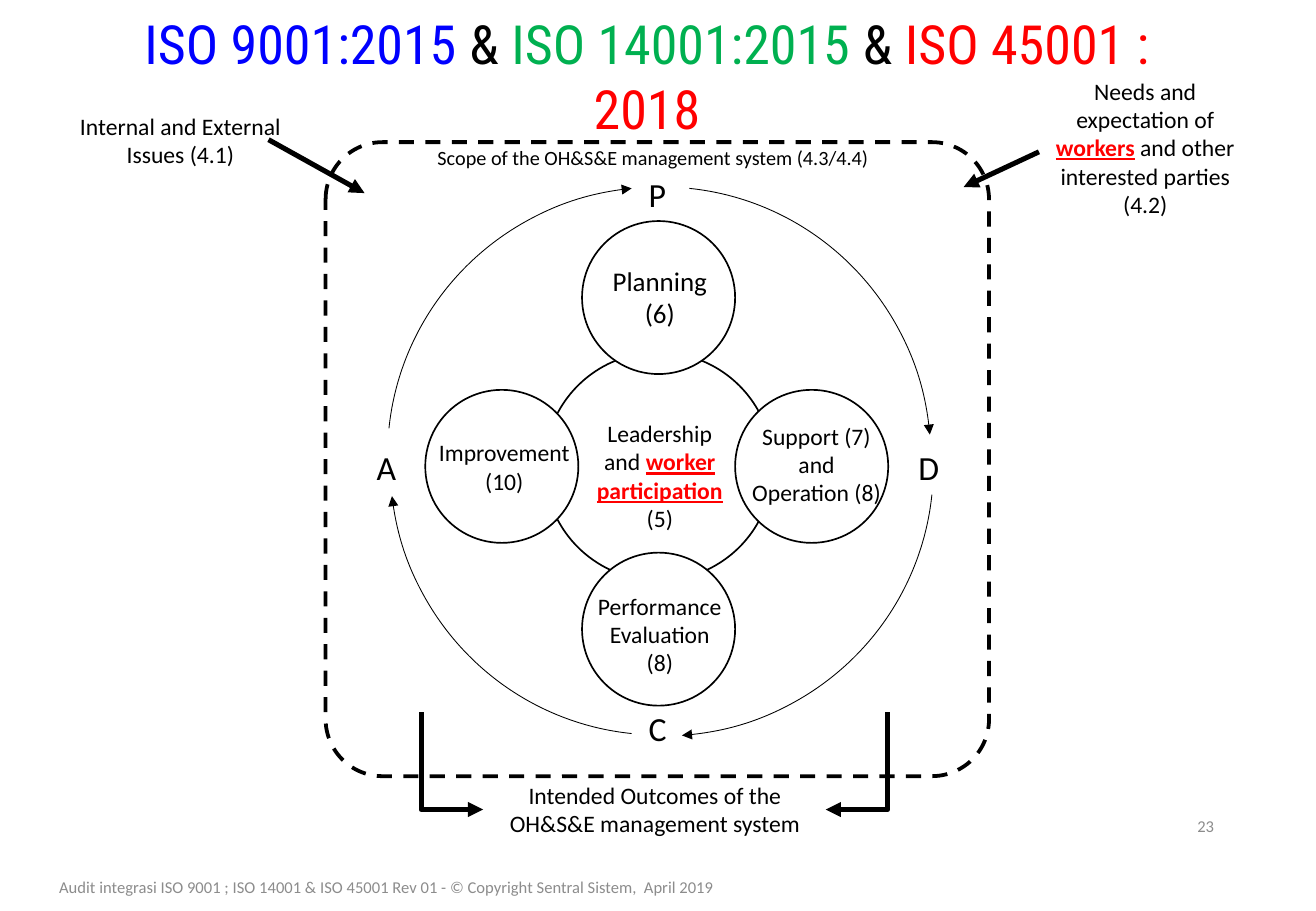
from dataclasses import dataclass

from pptx import Presentation
from pptx.dml.color import RGBColor
from pptx.enum.dml import MSO_LINE
from pptx.enum.shapes import MSO_CONNECTOR as Link, MSO_SHAPE as Kind
from pptx.enum.text import MSO_ANCHOR as Anchor, PP_ALIGN as Align
from pptx.oxml.ns import qn
from pptx.oxml.xmlchemy import OxmlElement as Tag
from pptx.util import Inches, Pt

# Square grid: 108.3 columns by 75 rows
CELL = Inches(0.1)
COLS, ROWS = 108.3, 75
HEX = {"ink": "000000", "paper": "FFFFFF", "blue": "0000FF",
       "green": "00B050", "red": "FF0000", "gray": "8C8C8C"}


@dataclass(frozen=True)
class Box:
    col: float
    row: float
    wide: float
    high: float


@dataclass(frozen=True)
class Run:
    text: str
    hue: str = "ink"
    strong: bool = False


@dataclass(frozen=True)
class Label:
    box: Box
    paras: list[list[Run]]
    size: float = 14
    align: Align = Align.CENTER
    anchor: Anchor = Anchor.TOP
    font: str = "Calibri"


@dataclass(frozen=True)
class Arc:
    col: float
    row: float
    turn: int
    stop: float


@dataclass(frozen=True)
class Elbow:
    box: Box
    turn: int
    flip: bool


def grid(*cells: float) -> list[int]:
    return [round(cell * CELL) for cell in cells]


def place(box: Box) -> list[int]:
    return grid(box.col, box.row, box.wide, box.high)


def color(hue: str) -> RGBColor:
    return RGBColor.from_string(HEX[hue])


def ink(shape, width: float, arrow: bool = False) -> None:
    shape.line.color.rgb = color("ink")
    shape.line.width = Pt(width)
    if arrow:
        tail = Tag("a:tailEnd")
        tail.set("type", "triangle")
        shape.line._get_or_add_ln().append(tail)


def outline(slide, kind: Kind, box: Box, width: float, fill: str = ""):
    shape = slide.shapes.add_shape(kind, *place(box))
    shape.shadow.inherit = False
    if fill:
        shape.fill.solid()
        shape.fill.fore_color.rgb = color(fill)
    else:
        shape.fill.background()
    ink(shape, width)
    return shape


def write(slide, label: Label) -> None:
    frame = slide.shapes.add_textbox(*place(label.box)).text_frame
    frame.word_wrap = True
    frame.vertical_anchor = label.anchor
    for i, runs in enumerate(label.paras):
        para = frame.add_paragraph() if i else frame.paragraphs[0]
        para.alignment = label.align
        for part in runs:
            run = para.add_run()
            run.text = part.text
            font = run.font
            font.name, font.size = label.font, Pt(label.size)
            font.color.rgb = color(part.hue)
            font.bold = font.underline = part.strong


def sweep(slide, arc: Arc) -> None:
    shape = outline(slide, Kind.ARC, Box(arc.col, arc.row, 44.2, 44.6), 0.5)
    shape.adjustments[0] = 165.44
    shape.adjustments[1] = arc.stop
    shape.rotation = arc.turn
    tail = Tag("a:tailEnd")
    tail.set("type", "triangle")
    shape.line._get_or_add_ln().append(tail)


def link(slide, kind: Link, *ends: float):
    line = slide.shapes.add_connector(kind, *grid(*ends))
    line._element.spPr.append(Tag("a:effectLst"))
    ink(line, 3, arrow=True)
    return line


def bend(slide, elbow: Elbow) -> None:
    box = elbow.box
    left, right = box.col, box.col + box.wide
    if elbow.flip:
        left, right = right, left
    line = link(slide, Link.ELBOW, left, box.row, right, box.row + box.high)
    props = line._element.spPr
    props.find(qn("a:prstGeom")).set("prst", "bentConnector2")
    props.find(qn("a:xfrm")).set("rot", str(elbow.turn * 60000))


def plain(box: Box, text: str, size: float = 14, **more) -> Label:
    return Label(box, [[Run(text)]], size, **more)


HEAD = [
    Label(Box(6.3, 0.4, 93.9, 6.4), [[
        Run("ISO 9001:2015 ", "blue"), Run("& "),
        Run("ISO 14001:2015 ", "green"), Run("& "),
        Run("ISO 45001 : 2018", "red")]], 32, font="Roboto Condensed"),
]
AROUND = [
    plain(Box(27.3, 11.5, 52.9, 3),
          "Scope of the OH&S&E management system (4.3/4.4)", 12),
    plain(Box(5.3, 8.7, 19.1, 5.7), "Internal and External Issues (4.1)"),
    Label(Box(84.7, 5.8, 19.1, 12.8), [[
        Run("Needs and expectation of "), Run("workers", "red", True),
        Run(" and other interested parties (4.2)")]]),
    plain(Box(39.8, 63.8, 28.2, 5.7),
          "Intended Outcomes of the OH&S&E management system"),
]
SPOTS = [(47.9, 18.2), (47.9, 45.5), (60.5, 32.1), (35, 32.1)]
STEPS = [("P", 52.4, 13.8), ("D", 74.6, 36.3),
         ("A", 30, 36.3), ("C", 52.4, 57.8)]
ARCS = [Arc(32.1, 15.2, 270, 212.56), Arc(32.4, 15.4, 0, 213.02),
        Arc(32.4, 16.2, 90, 213.48), Arc(32.1, 15.9, 180, 211.88)]
INNER = [
    Label(Box(48, 21.3, 12.6, 6.4), [[Run("Planning")], [Run("(6)")]], 16),
    plain(Box(60.9, 34.2, 12.6, 8.1), "Support (7) and Operation (8)"),
    Label(Box(48, 34, 12.6, 10.4), [[
        Run("Leadership and "), Run("worker participation ", "red", True),
        Run("(5)")]]),
    plain(Box(48, 48.2, 12.6, 8.1), "Performance Evaluation (8)"),
    plain(Box(34.6, 35.6, 13.8, 5.7), "Improvement (10)"),
]
INPUTS = [(22.1, 11.5, 30, 15.9), (85.5, 12.5, 79.3, 15.4)]
ELBOWS = [Elbow(Box(66.5, 60.1, 8, 5.1), 90, False),
          Elbow(Box(33.2, 60.1, 8, 5.1), 270, True)]
FOOT = [
    Label(Box(76.5, 66, 24.4, 4), [[Run("23", "gray")]], 9.8,
          Align.RIGHT, Anchor.MIDDLE),
    Label(Box(1, 71, 61.6, 4), [[Run(
        "Audit integrasi ISO 9001 ; ISO 14001 & ISO 45001 Rev 01 - "
        "© Copyright Sentral Sistem,  April 2019", "gray")]], 9.8,
          anchor=Anchor.MIDDLE),
]


def main() -> None:
    deck = Presentation()
    deck.slide_width, deck.slide_height = grid(COLS, ROWS)
    slide = deck.slides.add_slide(deck.slide_layouts[6])

    # Title, scope frame and outer labels
    for label in HEAD:
        write(slide, label)
    scope = outline(slide, Kind.ROUNDED_RECTANGLE,
                    Box(26.8, 11.7, 54.6, 52.2), 2.25)
    scope.adjustments[0] = 0.09
    scope.line.dash_style = MSO_LINE.DASH
    for label in AROUND:
        write(slide, label)

    # Core circle and its four satellites
    outline(slide, Kind.OVAL, Box(44.8, 29, 18.8, 18.8), 1)
    for col, row in SPOTS:
        outline(slide, Kind.OVAL, Box(col, row, 12.6, 12.6), 1, "paper")

    # Cycle letters and arcs
    for text, col, row in STEPS:
        write(slide, plain(Box(col, row, 3.5, 4.4), text, 20,
                           align=Align.LEFT))
    for arc in ARCS:
        sweep(slide, arc)
    for label in INNER:
        write(slide, label)

    # Arrows into and out of the system
    for ends in INPUTS:
        link(slide, Link.STRAIGHT, *ends)
    for elbow in ELBOWS:
        bend(slide, elbow)

    # Page number and footer
    for label in FOOT:
        write(slide, label)
    deck.save("out.pptx")


if __name__ == "__main__":
    main()
